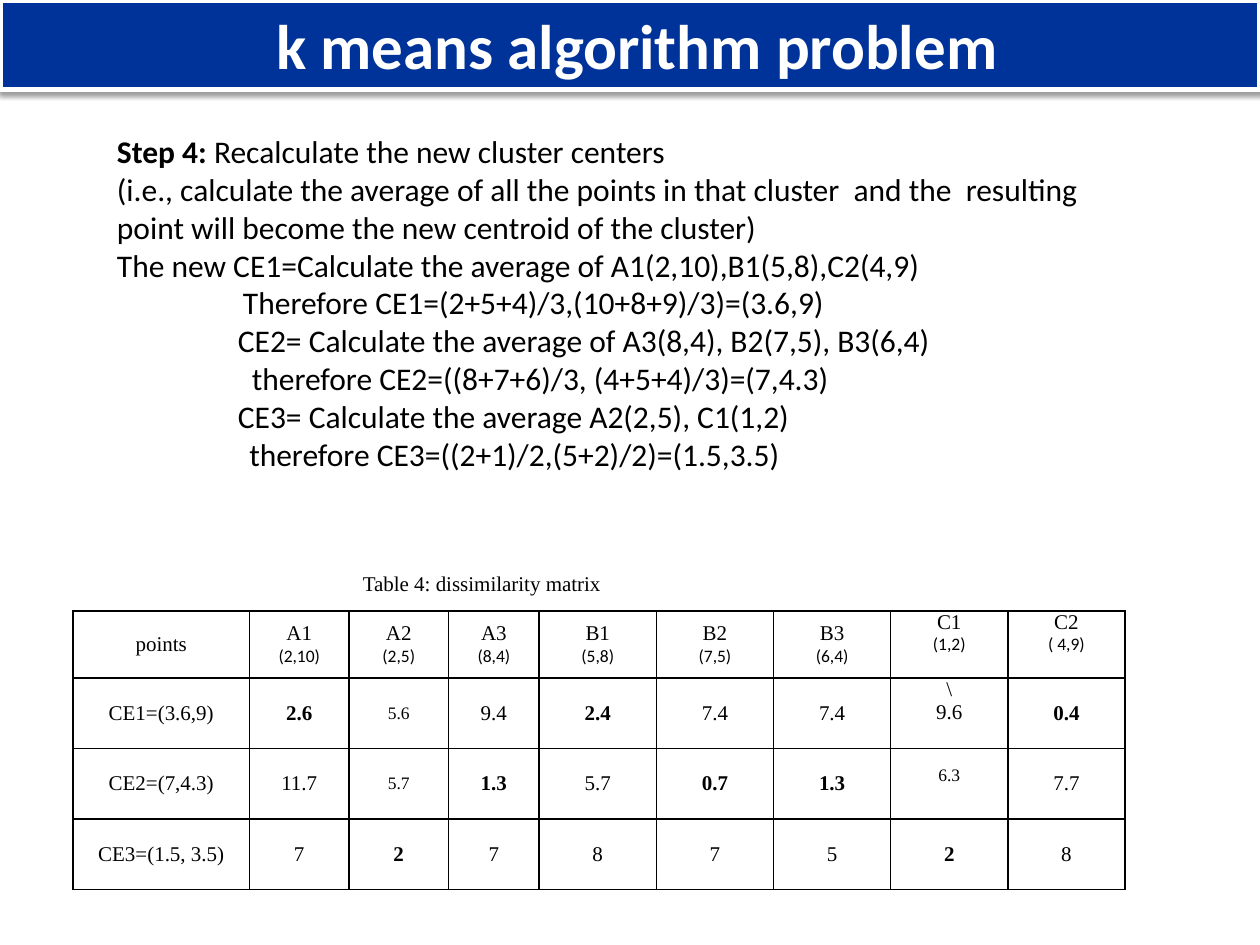
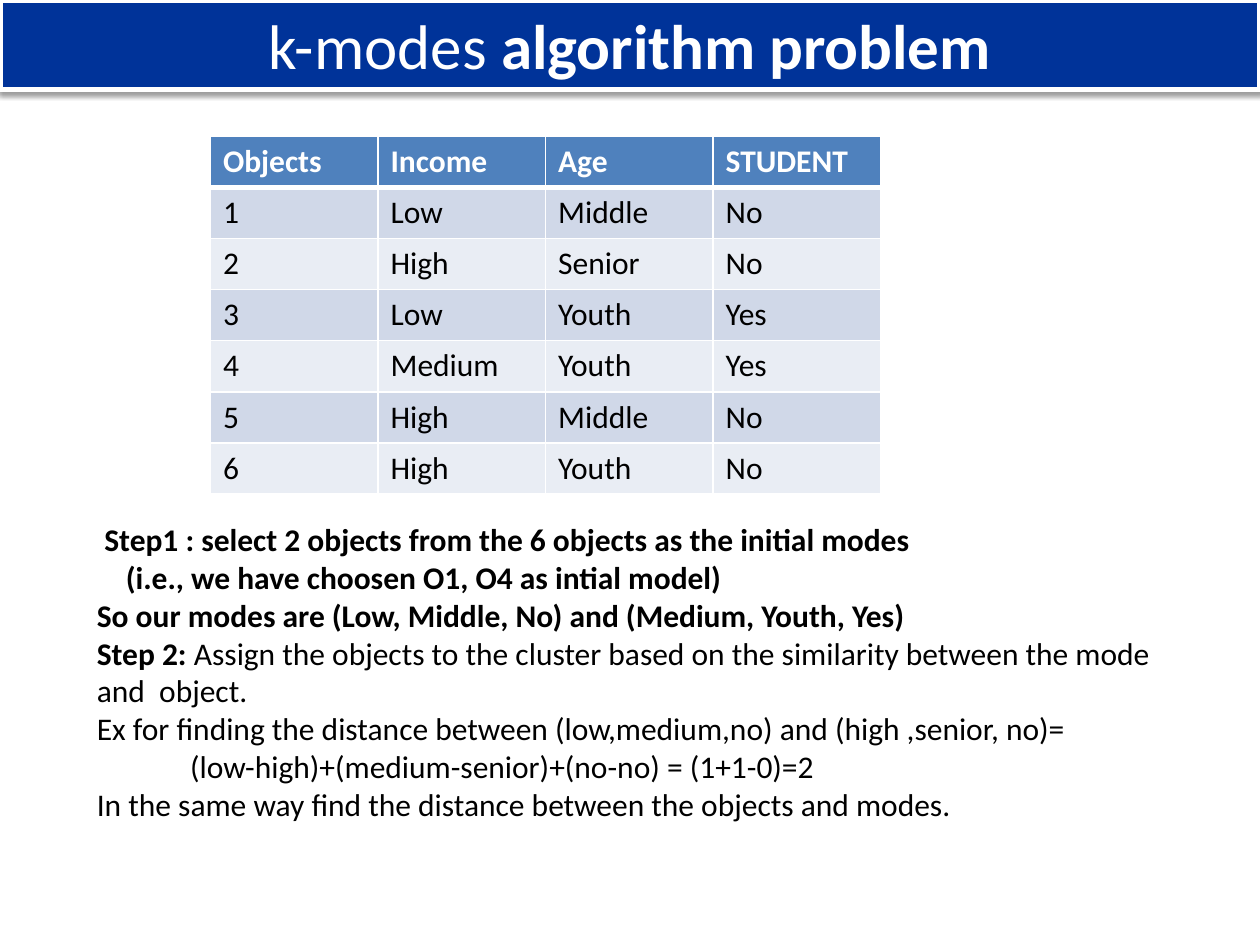
import pptx
import pptx.dml.color
import pptx.enum.text
import pptx.oxml
import pptx.oxml.ns
import pptx.util
from pptx.util import Inches

COLORS = {
    "band": "003399",
    "white": "FFFFFF",
    "black": "000000",
    "header": "4F81BD",
    "odd": "D0D8E8",
    "even": "E9EDF4",
}
SANS, SERIF = "Calibri", "Times New Roman"
NAMESPACE = pptx.oxml.ns.nsdecls("a")
ALIGN = pptx.enum.text.PP_ALIGN
ANCHOR = pptx.enum.text.MSO_ANCHOR

SHADOW = (
    f'<a:effectLst {NAMESPACE}><a:outerShdw blurRad="39370" dist="20320" '
    'dir="5400000" rotWithShape="0"><a:srgbClr val="000000">'
    '<a:alpha val="38000"/></a:srgbClr></a:outerShdw></a:effectLst>'
)

# Body lines: indent in inches, then (text, bold) spans
CENTER_STEPS = [
    (0, [("Step 4: ", True), ("Recalculate the new cluster centers", False)]),
    (0, [("(i.e., calculate the average of all the points in that cluster  and the  "
          "resulting point will become the new centroid of the cluster)", False)]),
    (0, [("The new CE1=Calculate the average of A1(2,10),B1(5,8),C2(4,9)", False)]),
    (1, [("Therefore CE1=(2+5+4)/3,(10+8+9)/3)=(3.6,9)", False)]),
    (0.96, [("CE2= Calculate the average of A3(8,4), B2(7,5), B3(6,4)", False)]),
    (1.07, [("therefore CE2=((8+7+6)/3, (4+5+4)/3)=(7,4.3)", False)]),
    (0.96, [("CE3= Calculate the average A2(2,5), C1(1,2)", False)]),
    (1.05, [("therefore CE3=((2+1)/2,(5+2)/2)=(1.5,3.5)", False)]),
]
MODE_STEPS = [
    (0.06, [("Step1 : select 2 objects from the 6 objects as the initial modes", True)]),
    (0.23, [("(i.e., we have choosen O1, O4 as intial model)", True)]),
    (0, [("So our modes are (Low, Middle, No) and (Medium, Youth, Yes)", True)]),
    (0, [("Step 2: ", True),
         ("Assign the objects to the cluster based on the similarity between the "
          "mode and  object.", False)]),
    (0, [("Ex for finding the distance between (low,medium,no) and "
          "(high ,senior, no)=", False)]),
    (0.74, [("(low-high)+(medium-senior)+(no-no) = (1+1-0)=2", False)]),
    (0, [("In the same way find the distance between the objects and modes.", False)]),
]

# Table values
POINTS = [("A1", "(2,10)"), ("A2", "(2,5)"), ("A3", "(8,4)"), ("B1", "(5,8)"),
          ("B2", "(7,5)"), ("B3", "(6,4)"), ("C1", "(1,2)"), ("C2", "( 4,9)")]
DISTANCES = [
    ("CE1=(3.6,9)", [2.6, 5.6, 9.4, 2.4, 7.4, 7.4, 9.6, 0.4]),
    ("CE2=(7,4.3)", [11.7, 5.7, 1.3, 5.7, 0.7, 1.3, 6.3, 7.7]),
    ("CE3=(1.5, 3.5)", [7, 2, 7, 8, 7, 5, 2, 8]),
]
SMALL_DISTANCES = {(0, 1), (1, 1), (1, 6)}
CUSTOMERS = [
    ("Objects", "Income", "Age", "STUDENT"),
    ("1", "Low", "Middle", "No"),
    ("2", "High", "Senior", "No"),
    ("3", "Low", "Youth", "Yes"),
    ("4", "Medium", "Youth", "Yes"),
    ("5", "High", "Middle", "No"),
    ("6", "High", "Youth", "No"),
]


def color(name):
    return pptx.dml.color.RGBColor.from_string(COLORS[name])


def style_font(font, size, name=SANS, ink="black", bold=False):
    font.size = pptx.util.Pt(size)
    font.name = name
    font.bold = bold
    font.color.rgb = color(ink)


def add_spans(para, spans, size, ink="black"):
    style_font(para.font, size, ink=ink, bold=spans[0][1])
    for text, bold in spans:
        span = para.add_run()
        span.text = text
        style_font(span.font, size, ink=ink, bold=bold)


def add_page(deck, title_spans):
    """Add a slide whose title fills the blue band across the top."""
    page = deck.slides.add_slide(deck.slide_layouts[5])
    band = page.shapes.title
    band.left, band.top, band.width, band.height = 0, 0, Inches(10), Inches(0.71)
    band.fill.solid()
    band.fill.fore_color.rgb = color("band")
    band.line.color.rgb = color("white")
    band.line.width = pptx.util.Pt(3)
    band._element.spPr.append(pptx.oxml.parse_xml(SHADOW))
    frame = band.text_frame
    frame.auto_size = pptx.enum.text.MSO_AUTO_SIZE.NONE
    frame.vertical_anchor = ANCHOR.TOP
    para = frame.paragraphs[0]
    para.alignment = ALIGN.CENTER
    add_spans(para, title_spans, 36, "white")
    return page


def add_body(page, left, top, width, height, lines):
    box = page.shapes.add_textbox(Inches(left), Inches(top), Inches(width), Inches(height))
    frame = box.text_frame
    frame.word_wrap = True
    for number, (indent, spans) in enumerate(lines):
        para = frame.add_paragraph() if number else frame.paragraphs[0]
        if indent:
            para._p.get_or_add_pPr().set("marL", str(Inches(indent)))
        add_spans(para, spans, 18)


def add_table(page, left, top, widths, heights):
    frame = page.shapes.add_table(len(heights), len(widths), Inches(left), Inches(top),
                                  Inches(sum(widths)), Inches(sum(heights)))
    table = frame.table
    table.first_row = table.horz_banding = False
    for column, width in zip(table.columns, widths):
        column.width = Inches(width)
    for row, height in zip(table.rows, heights):
        row.height = Inches(height)
    return table


def set_borders(cell, ink, sides):
    """Draw the sides given as {letter: points}, in the order L, R, T, B."""
    properties = cell._tc.get_or_add_tcPr()
    for side, points in sides.items():
        properties.append(pptx.oxml.parse_xml(
            f'<a:ln{side} {NAMESPACE} w="{pptx.util.Pt(points)}"><a:solidFill>'
            f'<a:srgbClr val="{COLORS[ink]}"/></a:solidFill></a:ln{side}>'))


def fill_matrix_cell(cell, lines, bold=False, anchor=ANCHOR.MIDDLE, margin_top=0):
    """Write centred (text, size, font) lines into a cell."""
    cell.margin_left = cell.margin_right = Inches(0.07)
    cell.margin_top, cell.margin_bottom = Inches(margin_top), 0
    cell.vertical_anchor = anchor
    for number, (text, size, name) in enumerate(lines):
        frame = cell.text_frame
        para = frame.add_paragraph() if number else frame.paragraphs[0]
        para.text = text
        para.alignment = ALIGN.CENTER
        style_font(para.font, size, name, bold=bold)


def add_distance_matrix(page):
    widths = [1.4, 0.79, 0.79, 0.72] + [0.93] * 5
    table = add_table(page, 0.58, 4.42, widths, [0.43, 0.53] + [0.56] * 3)
    for row_number, row in enumerate(table.rows):
        for cell in row.cells:
            sides = "LRTB" if row_number else "B"
            set_borders(cell, "black", dict.fromkeys(sides, 1))
            cell.fill.background()

    # Caption and header
    table.cell(0, 0).merge(table.cell(0, 6))
    fill_matrix_cell(table.cell(0, 0), [("Table 4: dissimilarity matrix", 12, SERIF)])
    fill_matrix_cell(table.cell(1, 0), [("points", 12, SERIF)])
    for column, (point, place) in enumerate(POINTS, 1):
        anchor = ANCHOR.TOP if point.startswith("C") else ANCHOR.MIDDLE
        fill_matrix_cell(table.cell(1, column),
                         [(point, 12, SERIF), (place, 10, SANS)], anchor=anchor)

    # Distances, with the nearest centre of each point in bold
    nearest = [min(column) for column in zip(*(values for _, values in DISTANCES))]
    for row, (center, values) in enumerate(DISTANCES):
        fill_matrix_cell(table.cell(row + 2, 0), [(center, 12, SERIF)])
        for column, value in enumerate(values):
            lines = [(str(value), 10 if (row, column) in SMALL_DISTANCES else 12, SERIF)]
            anchor, margin_top = ANCHOR.MIDDLE, 0
            if (row, column) == (0, 6):
                lines.insert(0, ("\\", 12, SERIF))
                anchor = ANCHOR.TOP
            elif (row, column) == (1, 6):
                anchor, margin_top = ANCHOR.TOP, 0.14
            fill_matrix_cell(table.cell(row + 2, column + 1), lines,
                             value == nearest[column], anchor, margin_top)


def add_customer_table(page):
    table = add_table(page, 1.67, 1.08, [1.33] * 4, [0.406] * 7)
    for row, values in enumerate(CUSTOMERS):
        is_header = row == 0
        fill = "header" if is_header else ("odd" if row % 2 else "even")
        for column, value in enumerate(values):
            cell = table.cell(row, column)
            set_borders(cell, "white", {"L": 1, "R": 1, "T": 3 if row == 1 else 1,
                                        "B": 3 if is_header else 1})
            cell.fill.solid()
            cell.fill.fore_color.rgb = color(fill)
            para = cell.text_frame.paragraphs[0]
            para.text = value
            style_font(para.font, 18, ink="white" if is_header else "black", bold=is_header)


def main():
    deck = pptx.Presentation()
    deck.slide_width, deck.slide_height = Inches(10), Inches(7.5)

    # k means: new centres and distances
    page = add_page(deck, [(" k means algorithm problem", True)])
    add_body(page, 0.83, 1, 8.08, 3.13, CENTER_STEPS)
    add_distance_matrix(page)

    # k-modes: objects and first steps
    page = add_page(deck, [(" ", True), ("k-modes ", False), ("algorithm problem ", True)])
    add_customer_table(page)
    add_body(page, 0.67, 4.08, 8.92, 2.83, MODE_STEPS)

    deck.save("out.pptx")


if __name__ == "__main__":
    main()
